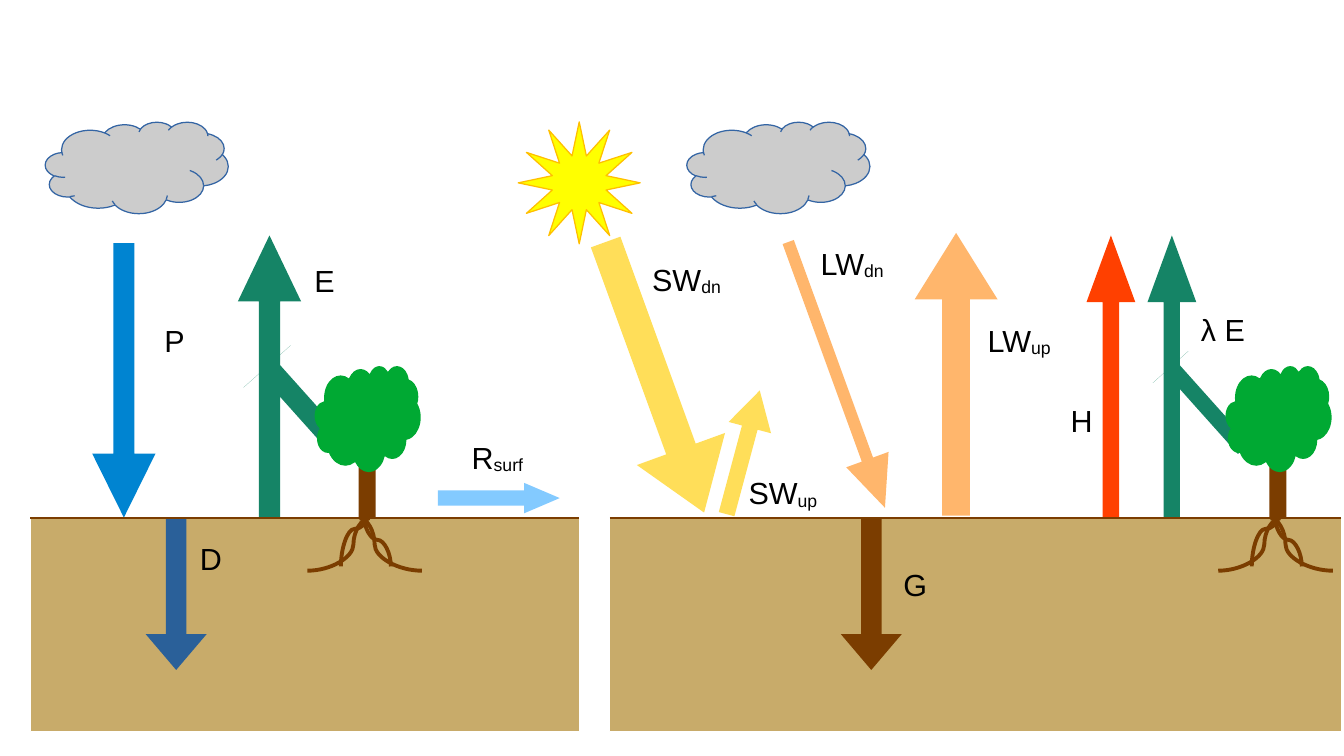
from lxml import etree
from pptx import Presentation
from pptx.dml.color import RGBColor
from pptx.enum.shapes import MSO_CONNECTOR as CONN, MSO_SHAPE as SHAPE
from pptx.oxml.ns import qn
from pptx.util import Pt

BLACK = RGBColor(0x00, 0x00, 0x00)
WHITE = RGBColor(0xFF, 0xFF, 0xFF)
SOIL = RGBColor(0xC8, 0xAB, 0x6A)
BROWN = RGBColor(0x7B, 0x3D, 0x00)
LEAF = RGBColor(0x00, 0xA9, 0x33)
GRAY = RGBColor(0xCC, 0xCC, 0xCC)
CLOUD_EDGE = RGBColor(0x34, 0x65, 0xA4)
YELLOW = RGBColor(0xFF, 0xFF, 0x00)
SUN_EDGE = RGBColor(0xFF, 0xBF, 0x00)
RAIN = RGBColor(0x00, 0x84, 0xD1)
RUNOFF = RGBColor(0x83, 0xCA, 0xFF)
DRAINAGE = RGBColor(0x2A, 0x60, 0x99)
VAPOR = RGBColor(0x15, 0x84, 0x66)
SHORTWAVE = RGBColor(0xFF, 0xDE, 0x59)
LONGWAVE = RGBColor(0xFF, 0xB6, 0x6C)
HEAT = RGBColor(0xFF, 0x40, 0x00)

GROUND_Y, GROUND_H = 306, 126
GROUNDS = [(18, 324), (360, 432)]  # left, width
CLOUD_LEFTS = [26.8, 405.6]
TREE_LEFTS = [185.8, 723.6]

# centre x, centre y, length, breadth, rotation, shaft share, head ratio, colour
ARROWS = [
    (73.1, 224.6, 162, 37.4, 90, 0.334, 1.01, RAIN),
    (294.5, 294.1, 72, 18, 0, 0.501, 1.17, RUNOFF),
    (104, 350.6, 90, 36, 90, 0.334, 0.588, DRAINAGE),
    (159.1, 222.5, 167, 37.4, 270, 0.334, 1.043, VAPOR),
    (179.3, 240.5, 64.8, 37.4, 228.2, 0.334, 0, VAPOR),
    (386.6, 222.8, 170, 55.4, 70, 0.334, 0.721, SHORTWAVE),
    (438.8, 267.1, 75.6, 25.9, 285, 0.368, 0.875, SHORTWAVE),
    (493.9, 221.4, 167, 26.6, 70, 0.266, 1.138, LONGWAVE),
    (564.5, 221, 167, 49, 270, 0.334, 0.802, LONGWAVE),
    (655.9, 222.5, 167, 28.8, 270, 0.334, 1.367, HEAT),
    (514.4, 350.6, 90, 36, 90, 0.334, 0.588, BROWN),
    (691.9, 222.5, 167, 28.8, 270, 0.334, 1.367, VAPOR),
    (712.8, 240.8, 64.8, 28.1, 228.2, 0.334, 0, VAPOR),
]

# offsets from the crown's left edge and the ground: x1, y1, x2, y2, rotation, mirrored, bend
ROOTS = [
    (26.6, 0, 63.3, 31, 0, False, 0.24),
    (32.4, 0, -4.3, 31, 0, True, 0.26),
    (8.6, 5.8, 38.1, 21.6, 90, False, 0.251),
    (22.3, 5.8, 51.8, 21.6, 270, True, 0.469),
]

# left, top, symbol, subscript
LABELS = [
    (90, 186.5, "P", ""),
    (271.4, 255.6, "R", "surf"),
    (178.6, 151.2, "E", ""),
    (110.9, 315.4, "D", ""),
    (477.4, 141.1, "LW", "dn"),
    (576, 186.5, "LW", "up"),
    (378, 150.5, "SW", "dn"),
    (625, 234, "H", ""),
    (434.9, 276.5, "SW", "up"),
    (702, 180, "λ E", ""),
    (526.3, 330.5, "G", ""),
]


def add_shape(kind, x, y, w, h, fill, line=None, rot=0, adj=()):
    sp = s.shapes.add_shape(kind, Pt(x), Pt(y), Pt(w), Pt(h))
    sp.shadow.inherit = False
    sp.rotation = rot
    for i, value in enumerate(adj):
        sp.adjustments[i] = value
    sp.fill.solid()
    sp.fill.fore_color.rgb = fill
    if line is None:
        sp.line.fill.background()
    else:
        sp.line.color.rgb = line
        sp.line.width = Pt(0)
    return sp


def add_line(kind, x1, y1, x2, y2, width):
    cxn = s.shapes.add_connector(kind, Pt(x1), Pt(y1), Pt(x2), Pt(y2))
    cxn.line.color.rgb = BROWN
    cxn.line.width = Pt(width)
    etree.SubElement(cxn.element.spPr, qn("a:effectLst"))
    return cxn


def add_root(left, x1, y1, x2, y2, rot, mirrored, bend):
    cxn = add_line(CONN.CURVE, left + x1, GROUND_Y + y1, left + x2, GROUND_Y + y2, 2.3)
    spPr = cxn.element.spPr
    xfrm = spPr.find(qn("a:xfrm"))
    xfrm.set("rot", str(rot * 60000))
    xfrm.set("flipH", str(int(mirrored)))
    guides = spPr.find(qn("a:prstGeom")).find(qn("a:avLst"))
    etree.SubElement(guides, qn("a:gd"), name="adj1", fmla=f"val {round(bend * 100000)}")


def add_label(x, y, text, sub="", size=18, color=BLACK, font="Arial"):
    tf = s.shapes.add_textbox(Pt(x), Pt(y), Pt(72), Pt(32)).text_frame
    tf.word_wrap = True
    p = tf.paragraphs[0]
    for part, baseline in ((text, 0), (sub, -8000)):
        if not part:
            continue
        r = p.add_run()
        r.text = part
        r.font.name, r.font.size = font, Pt(size)
        r.font.color.rgb = color
        if baseline:
            r.font._element.set("baseline", str(baseline))


prs = Presentation()
prs.slide_width, prs.slide_height = Pt(793.5), Pt(446.4)
s = prs.slides.add_slide(prs.slide_layouts[6])

for left, width in GROUNDS:
    add_shape(SHAPE.RECTANGLE, left, GROUND_Y, width, GROUND_H, SOIL, WHITE)
add_shape(SHAPE.STAR_12_POINT, 306, 72, 72, 72, YELLOW, SUN_EDGE, adj=(0.228,))
for left in CLOUD_LEFTS:
    add_shape(SHAPE.CLOUD, left, 72, 108, 54, GRAY, CLOUD_EDGE)
for left in TREE_LEFTS:
    add_shape(SHAPE.RECTANGLE, left + 25.9, 270, 10.1, 36, BROWN)
for cx, cy, length, breadth, rot, shaft, head, color in ARROWS:
    add_shape(SHAPE.RIGHT_ARROW, cx - length / 2, cy - breadth / 2, length, breadth,
              color, rot=rot, adj=(shaft, head))
for left in TREE_LEFTS:
    add_shape(SHAPE.CLOUD, left, 216, 62.6, 62.6, LEAF)
for left, width in GROUNDS:
    add_line(CONN.STRAIGHT, left, GROUND_Y, left + width, GROUND_Y, 1.5)
for left in TREE_LEFTS:
    for root in ROOTS:
        add_root(left, *root)
for label in LABELS:
    add_label(*label)

prs.save("out.pptx")
